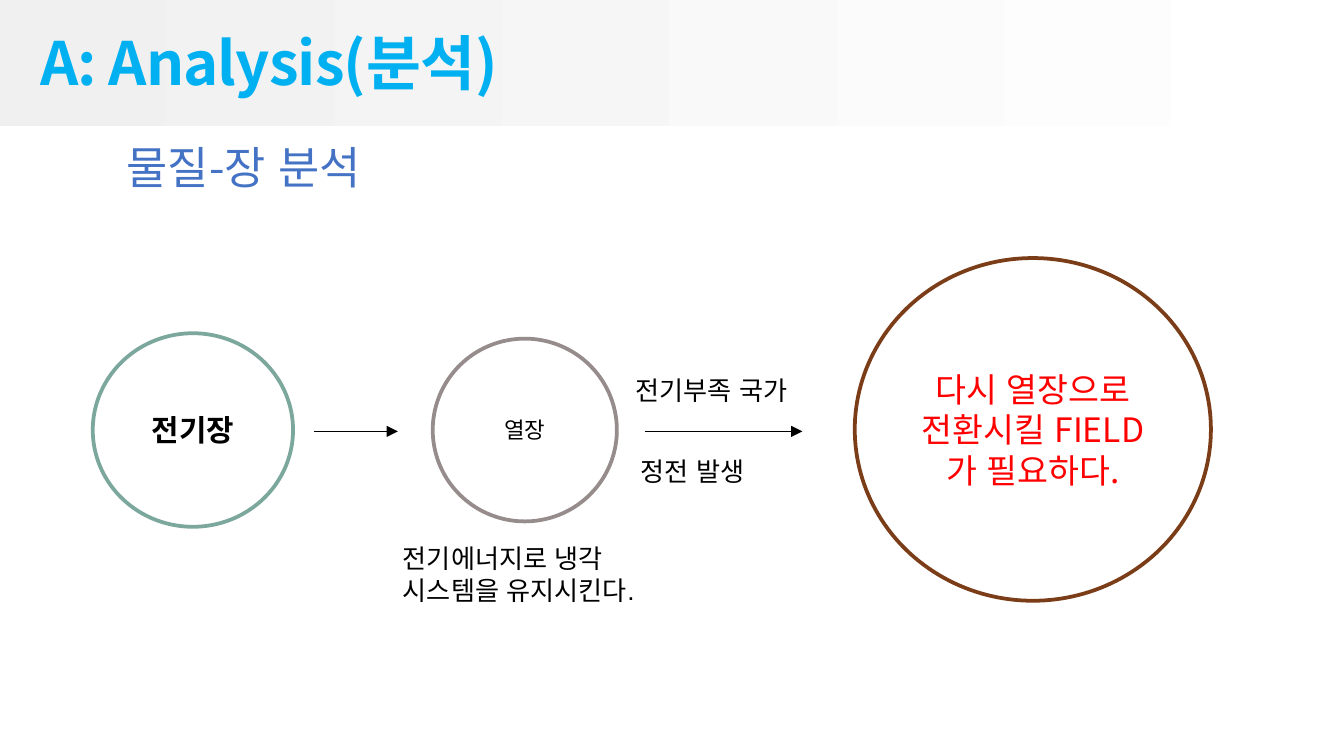
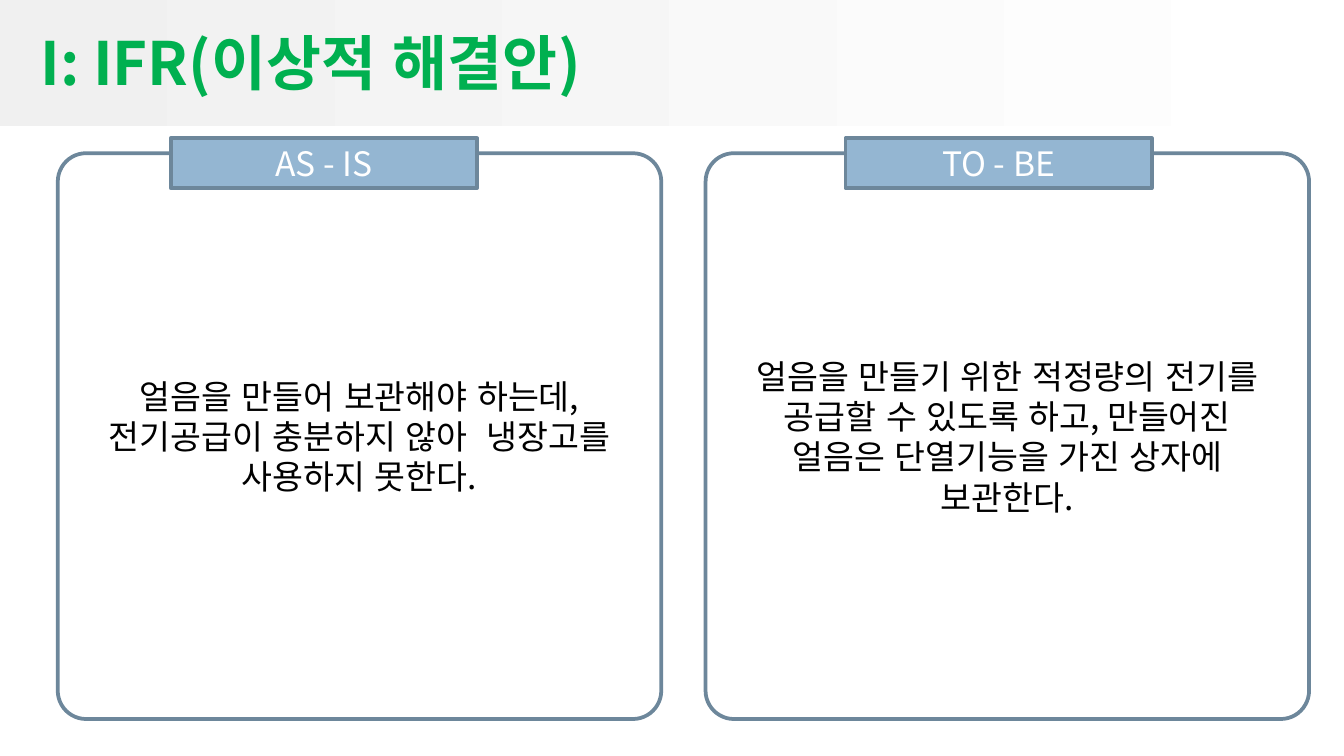
from dataclasses import dataclass

from lxml.etree import SubElement
from pptx import Presentation
from pptx.dml.color import RGBColor
from pptx.enum.lang import MSO_LANGUAGE_ID
from pptx.enum.shapes import MSO_CONNECTOR, MSO_SHAPE
from pptx.enum.text import MSO_ANCHOR, MSO_AUTO_SIZE, PP_ALIGN
from pptx.oxml.ns import qn
from pptx.util import Inches, Pt

COLORS = {
    "black": "000000",
    "white": "FFFFFF",
    "band": "F0F0F0",
    "analysis": "00B0F0",
    "ideal": "00B050",
    "subtitle": "4472C4",
    "electric": "7BA79D",
    "thermal": "968C8C",
    "needed": "7B3D17",
    "alert": "FF0000",
    "frame": "6D879B",
    "tab": "94B6D2",
}
BODY_FONT = "Noto Sans CJK KR"
CAPTION_FONT = "Arial"
ARROW_Y = 3.21
PANEL_TOP, PANEL_WIDTH, PANEL_HEIGHT = 1.14, 4.49, 4.21
TAB_TOP, TAB_WIDTH, TAB_HEIGHT = 1.03, 2.28, 0.37


@dataclass(frozen=True)
class TextStyle:
    """Font settings of a piece of text."""

    size: float
    color: str = "black"
    bold: bool = False
    font: str = BODY_FONT
    align: PP_ALIGN = PP_ALIGN.CENTER
    spacing: int = 0


@dataclass(frozen=True)
class Block:
    """An outlined shape with centred text."""

    left: float
    top: float
    width: float
    height: float
    text: str
    style: TextStyle
    line: str
    fill: str = "white"
    kind: MSO_SHAPE = MSO_SHAPE.OVAL


@dataclass(frozen=True)
class Label:
    """A free text box."""

    left: float
    top: float
    width: float
    height: float
    text: str
    style: TextStyle


@dataclass(frozen=True)
class Panel:
    """A framed statement with its heading tab."""

    left: float
    tab_left: float
    heading: str
    statement: str


CAPTION = TextStyle(14, font=CAPTION_FONT, align=PP_ALIGN.LEFT)
STATEMENT = TextStyle(18)
HEADING = TextStyle(18, "white")

FIELDS = [
    Block(6.36, 1.92, 2.65, 2.55, "다시 열장으로 전환시킬 FIELD가 필요하다.",
          TextStyle(18, "alert"), "needed"),
    Block(0.69, 2.48, 1.49, 1.44, "전기장", TextStyle(16, bold=True), "electric"),
    Block(3.22, 2.52, 1.37, 1.36, "열장", TextStyle(12), "thermal"),
]
ARROWS = [(2.34, 2.96), (4.8, 5.97)]
LABELS = [
    Label(0.83, 0.99, 1.97, 0.5, "물질-장 분석", TextStyle(24, "subtitle")),
    Label(2.9, 3.99, 2.13, 0.57, "전기에너지로 냉각\n시스템을 유지시킨다.", CAPTION),
    Label(4.63, 2.74, 1.49, 0.34, "전기부족 국가", CAPTION),
    Label(4.67, 3.34, 1.49, 0.34, "정전 발생", CAPTION),
]
PANELS = [
    Panel(5.25, 6.29, "TO - BE",
          "얼음을 만들기 위한 적정량의 전기를 공급할 수 있도록 하고, "
          "만들어진 얼음은 단열기능을 가진 상자에 보관한다."),
    Panel(0.43, 1.27, "AS - IS",
          "얼음을 만들어 보관해야 하는데, 전기공급이 충분하지 않아  냉장고를 사용하지 못한다."),
]


def rgb(name: str) -> RGBColor:
    """Look up a named colour."""
    return RGBColor.from_string(COLORS[name])


def write(frame, text: str, style: TextStyle, anchor=MSO_ANCHOR.MIDDLE) -> None:
    """Fill a text frame and format its runs."""
    frame.text = text
    frame.word_wrap = True
    frame.auto_size = MSO_AUTO_SIZE.NONE
    frame.vertical_anchor = anchor
    for para in frame.paragraphs:
        para.alignment = style.align
        for span in para.runs:
            span.font.size = Pt(style.size)
            span.font.bold = style.bold
            span.font.color.rgb = rgb(style.color)
            span.font.name = style.font
            span.font.language_id = MSO_LANGUAGE_ID.KOREAN
            properties = span.font._element
            SubElement(properties, qn("a:ea")).set("typeface", BODY_FONT)
            if style.spacing:
                properties.set("spc", str(style.spacing))


def add_block(page, block: Block):
    """Draw an outlined shape with its text."""
    shape = page.shapes.add_shape(
        block.kind, Inches(block.left), Inches(block.top),
        Inches(block.width), Inches(block.height))
    shape.shadow.inherit = False
    shape.fill.solid()
    shape.fill.fore_color.rgb = rgb(block.fill)
    shape.line.color.rgb = rgb(block.line)
    shape.line.width = Pt(2)
    write(shape.text_frame, block.text, block.style)
    return shape


def add_label(page, label: Label) -> None:
    """Draw a text box."""
    box = page.shapes.add_textbox(
        Inches(label.left), Inches(label.top),
        Inches(label.width), Inches(label.height))
    write(box.text_frame, label.text, label.style, MSO_ANCHOR.TOP)


def add_arrow(page, start: float, end: float) -> None:
    """Draw a horizontal arrow between two fields."""
    arrow = page.shapes.add_connector(
        MSO_CONNECTOR.STRAIGHT, Inches(start), Inches(ARROW_Y),
        Inches(end), Inches(ARROW_Y))
    arrow.line.color.rgb = rgb("black")
    arrow.line.width = Pt(0.75)
    SubElement(arrow.line._get_or_add_ln(), qn("a:tailEnd")).set("type", "triangle")
    SubElement(arrow.element.spPr, qn("a:effectLst"))


def add_panel(page, panel: Panel) -> None:
    """Draw a rounded frame and the tab on its upper edge."""
    frame = add_block(page, Block(
        panel.left, PANEL_TOP, PANEL_WIDTH, PANEL_HEIGHT, panel.statement,
        STATEMENT, "frame", kind=MSO_SHAPE.ROUNDED_RECTANGLE))
    frame.adjustments[0] = 0.05
    frame.text_frame.margin_left = frame.text_frame.margin_right = Inches(0.15)
    add_block(page, Block(
        panel.tab_left, TAB_TOP, TAB_WIDTH, TAB_HEIGHT, panel.heading,
        HEADING, "frame", "tab", MSO_SHAPE.RECTANGLE))


def add_master_band(deck, page) -> None:
    """Put the shared title band on the slide master."""
    band = page.shapes.add_shape(
        MSO_SHAPE.RECTANGLE, 0, 0, Inches(9.96), Inches(0.94))
    band.shadow.inherit = False
    band.line.fill.background()
    band.fill.gradient()
    band.fill.gradient_angle = 0
    for stop, name in zip(band.fill.gradient_stops, ("band", "white")):
        stop.color.rgb = rgb(name)
    band.element.nvSpPr.cNvPr.set("id", "99")
    deck.slide_master.shapes.element.insert(2, band.element)


def add_page(deck, title: str, color: str, spacing: int = 0):
    """Add a title-only slide with the shared title style."""
    page = deck.slides.add_slide(deck.slide_layouts[5])
    heading = page.shapes.title
    heading.left, heading.top = Inches(0.2), Inches(0.16)
    heading.width, heading.height = Inches(4.7), Inches(0.59)
    write(heading.text_frame, title,
          TextStyle(32, color, True, align=PP_ALIGN.LEFT, spacing=spacing))
    return page


def main() -> None:
    """Build and save the deck."""
    deck = Presentation()
    deck.slide_width = Inches(10)
    deck.slide_height = deck.slide_width * 9 // 16

    analysis = add_page(deck, "A: Analysis(분석)", "analysis", -50)
    add_master_band(deck, analysis)
    for field in FIELDS:
        add_block(analysis, field)
    for start, end in ARROWS:
        add_arrow(analysis, start, end)
    for label in LABELS:
        add_label(analysis, label)

    ideal = add_page(deck, "I: IFR(이상적 해결안)", "ideal")
    for panel in PANELS:
        add_panel(ideal, panel)

    deck.save("out.pptx")


if __name__ == "__main__":
    main()
